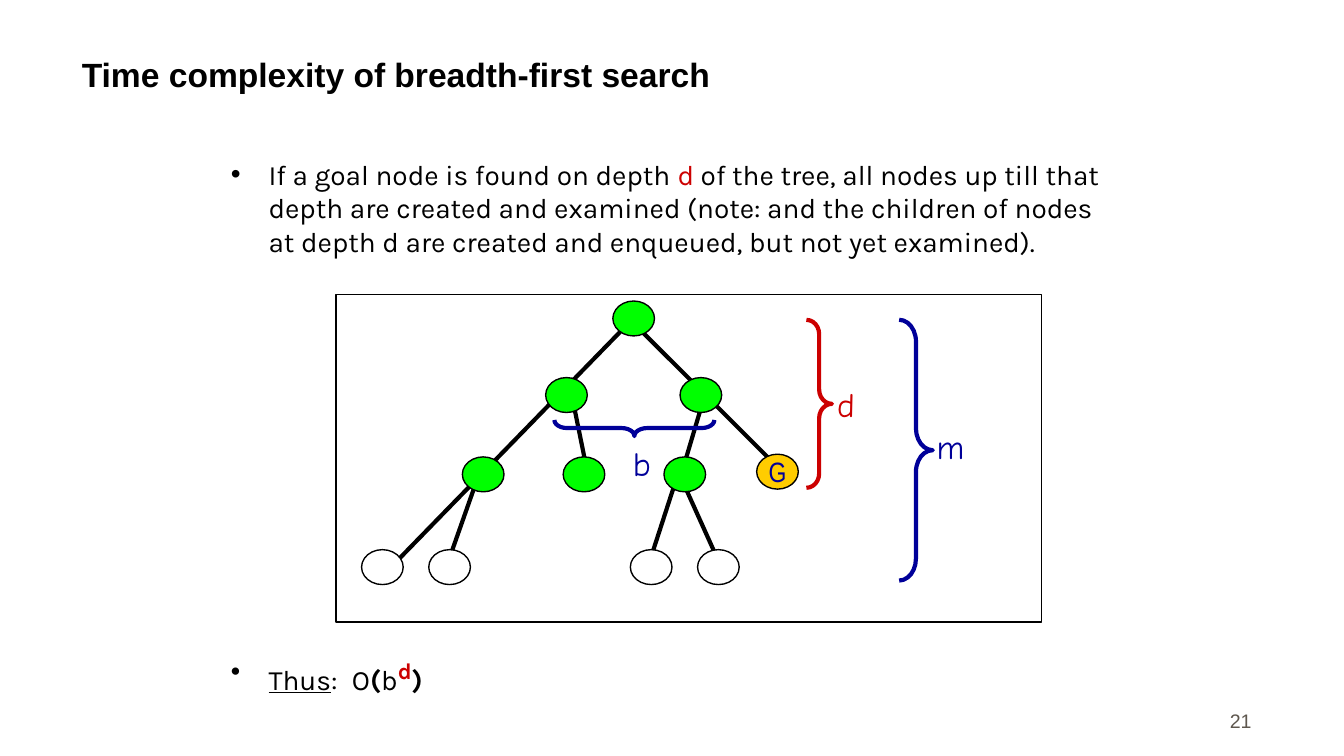
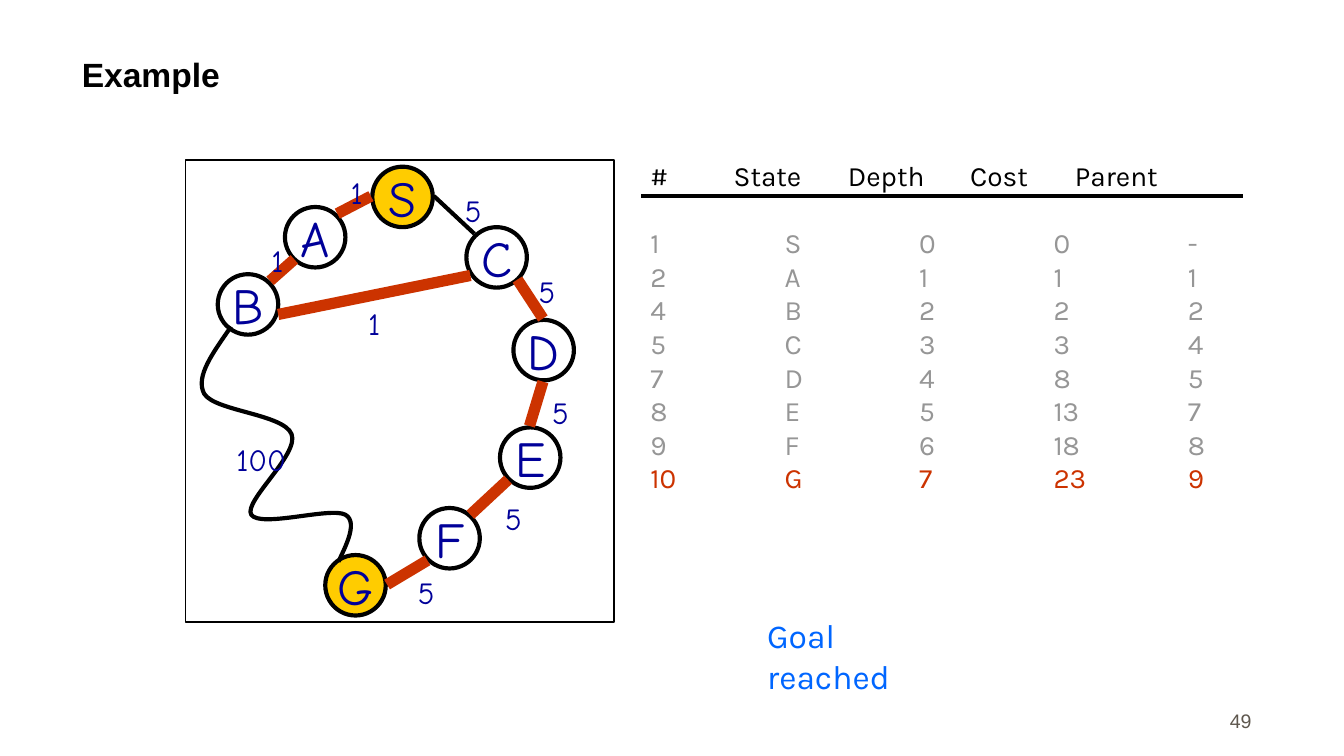
from pptx import Presentation
from pptx.dml.color import RGBColor
from pptx.enum.shapes import MSO_CONNECTOR, MSO_SHAPE
from pptx.enum.text import MSO_ANCHOR, PP_ALIGN
from pptx.oxml.ns import qn
from pptx.util import Inches, Pt
from lxml.etree import SubElement

BLACK = RGBColor(0x00, 0x00, 0x00)
WHITE = RGBColor(0xFF, 0xFF, 0xFF)
RED = RGBColor(0xCC, 0x00, 0x00)
NAVY = RGBColor(0x00, 0x00, 0x99)
GREEN = RGBColor(0x00, 0xFF, 0x00)
GOLD = RGBColor(0xFF, 0xCC, 0x00)
ORANGE = RGBColor(0xCC, 0x33, 0x00)
BLUE = RGBColor(0x00, 0x66, 0xFF)
GRAY = RGBColor(0x96, 0x96, 0x96)
FOOTER_BROWN = RGBColor(0x5E, 0x57, 0x4E)

TITLE_FONT = "Arial"
BODY_FONT = "Karla"
HAND_FONT = "Comic Neue"
NODE_FONT = "Arial Narrow"


def write_text(frame, *runs, size=15, color=BLACK, font=BODY_FONT, bold=False,
               align=PP_ALIGN.LEFT, anchor=MSO_ANCHOR.TOP, wrap=True,
               bullet=False, bullet_font=None, tabs=(), space_before=0):
    frame.word_wrap = wrap
    frame.vertical_anchor = anchor
    paragraph = frame.paragraphs[0]
    if paragraph.runs:
        paragraph = frame.add_paragraph()
    properties = paragraph._p.get_or_add_pPr()
    if bullet:
        properties.set("marL", str(Inches(0.28)))
        properties.set("indent", str(-Inches(0.28)))
        if bullet_font:
            SubElement(properties, qn("a:buFont")).set("typeface", bullet_font)
        SubElement(properties, qn("a:buChar")).set("char", "•")
    if tabs:
        tab_list = SubElement(properties, qn("a:tabLst"))
        for position in tabs:
            tab = SubElement(tab_list, qn("a:tab"))
            tab.set("pos", str(Inches(position)))
            tab.set("algn", "l")
    paragraph.alignment = align
    if space_before:
        paragraph.space_before = Pt(space_before)
    for item in runs:
        text, style = (item, {}) if isinstance(item, str) else item
        run = paragraph.add_run()
        run.text = text
        run.font.name = font
        run.font.size = Pt(style.get("size", size))
        run.font.bold = style.get("bold", bold)
        run.font.underline = style.get("underline", False)
        run.font.color.rgb = style.get("color", color)
        if "baseline" in style:
            run._r.get_or_add_rPr().set("baseline", str(style["baseline"]))


def add_text(slide, left, top, width, height, *runs, **text_format):
    box = slide.shapes.add_textbox(Inches(left), Inches(top), Inches(width), Inches(height))
    write_text(box.text_frame, *runs, **text_format)
    return box


def add_label(slide, left, top, text, **text_format):
    width = 0.22 + 0.13 * len(text)
    add_text(slide, left, top, width, 0.4, text, font=HAND_FONT, wrap=False, **text_format)


def add_shape(slide, preset, left, top, width, height, fill=None, line=BLACK, weight=0.75):
    shape = slide.shapes.add_shape(
        preset, Inches(left), Inches(top), Inches(width), Inches(height))
    shape.shadow.inherit = False
    if fill is None:
        shape.fill.background()
    else:
        shape.fill.solid()
        shape.fill.fore_color.rgb = fill
    shape.line.color.rgb = line
    shape.line.width = Pt(weight)
    return shape


def add_node(slide, left, top, width, height, fill, text="", size=15, font=HAND_FONT, weight=0.75):
    node = add_shape(slide, MSO_SHAPE.OVAL, left, top, width, height, fill, weight=weight)
    if text:
        frame = node.text_frame
        frame.margin_left = frame.margin_right = frame.margin_top = frame.margin_bottom = 0
        write_text(frame, text, size=size, color=NAVY, font=font,
                   align=PP_ALIGN.CENTER, anchor=MSO_ANCHOR.MIDDLE, wrap=False)


def add_brace(slide, preset, left, top, width, height, color, curl, rotation=0):
    brace = add_shape(slide, preset, left, top, width, height, line=color, weight=2.25)
    brace.adjustments[0] = curl
    brace.adjustments[1] = 0.5
    brace.rotation = rotation


def add_line(slide, x1, y1, x2, y2, color=BLACK, weight=2.25):
    line = slide.shapes.add_connector(
        MSO_CONNECTOR.STRAIGHT, Inches(x1), Inches(y1), Inches(x2), Inches(y2))
    line.line.color.rgb = color
    line.line.width = Pt(weight)
    SubElement(line._element.spPr, qn("a:effectLst"))


def add_curve(slide, left, top, points):
    places = [(Inches(left + x), Inches(top + y)) for x, y in points]
    builder = slide.shapes.build_freeform(*places[0])
    builder.add_line_segments(places[1:], close=False)
    curve = builder.convert_to_shape()
    curve.shadow.inherit = False
    curve.fill.background()
    curve.line.color.rgb = BLACK
    curve.line.width = Pt(2.25)
    outline = next(curve._element.iter(qn("a:path")))
    segments = outline.findall(qn("a:lnTo"))
    for index in range(0, len(segments), 3):
        bezier = SubElement(outline, qn("a:cubicBezTo"))
        for segment in segments[index:index + 3]:
            bezier.append(segment[0])
            outline.remove(segment)


def add_base_slide(presentation, title, number):
    slide = presentation.slides.add_slide(presentation.slide_layouts[6])
    add_text(slide, 7.33, 5.12, 2.08, 0.38, number, size=10.5, color=FOOTER_BROWN,
             font=TITLE_FONT, align=PP_ALIGN.RIGHT, anchor=MSO_ANCHOR.BOTTOM)
    add_text(slide, 0.51, 0.19, 8.92, 0.56, title, size=18, font=TITLE_FONT,
             bold=True, anchor=MSO_ANCHOR.BOTTOM)
    return slide


def draw_search_tree(slide, left, top, width, height):
    add_shape(slide, MSO_SHAPE.RECTANGLE, left, top, width, height, WHITE)
    branches = [
        (2.19, 0.19, 3.31, 1.31), (2.56, 1.35, 2.88, 2.06), (2.56, 1.29, 2.31, 2.06),
        (1.06, 1.35, 0.81, 2.06), (2.75, 0.73, 2.56, 1.37), (1.75, 0.73, 1.88, 1.37),
        (2.25, 0.14, 0.38, 2.06),
    ]
    for x1, y1, x2, y2 in branches:
        add_line(slide, left + x1, top + y1, left + x2, top + y2)

    levels = [
        (0.05, GREEN, [2.06]),
        (0.62, GREEN, [1.56, 2.56]),
        (1.21, GREEN, [0.94, 1.69, 2.44]),
        (1.9, WHITE, [0.19, 0.69, 2.19, 2.69]),
    ]
    for y, fill, columns in levels:
        for x in columns:
            add_node(slide, left + x, top + y, 0.31, 0.26, fill)
    add_node(slide, left + 3.13, top + 1.19, 0.31, 0.26, GOLD, "G", font=NODE_FONT)

    add_brace(slide, MSO_SHAPE.LEFT_BRACE, left + 2.16, top + 0.4, 0.12, 1.19, NAVY, 0.79, 270)
    add_brace(slide, MSO_SHAPE.RIGHT_BRACE, left + 3.5, top + 0.19, 0.19, 1.25, RED, 0.56)
    add_brace(slide, MSO_SHAPE.RIGHT_BRACE, left + 4.19, top + 0.19, 0.25, 1.94, NAVY, 0.65)
    for text, x, y, color in [("b", 2.11, 1.06, NAVY), ("d", 3.63, 0.62, RED), ("m", 4.37, 0.93, NAVY)]:
        add_label(slide, left + x, top + y, text, size=18, color=color)


def build_complexity_slide(presentation):
    slide = add_base_slide(presentation, "Time complexity of breadth-first search", "21")
    add_text(slide, 1.62, 1.12, 6.75, 0.88,
             "If a goal node is found on depth ", ("d", {"color": RED}),
             " of the tree, all nodes up till that depth are created and examined "
             "(note: and the children of nodes at depth d are created and enqueued, "
             "but not yet examined).", bullet=True, bullet_font=TITLE_FONT)
    draw_search_tree(slide, 2.5, 2.19, 5.25, 2.44)
    add_text(slide, 1.62, 4.8, 6.75, 0.51,
             ("Thus", {"underline": True}), ":\tO", ("(", {"bold": True}), "b",
             ("d", {"size": 21, "color": RED, "bold": True, "baseline": 30000}),
             (")", {"bold": True}), bullet=True, tabs=(0.9,))


def draw_route_graph(slide, left, top, width, height):
    add_shape(slide, MSO_SHAPE.RECTANGLE, left, top, width, height, WHITE)
    nodes = {
        "G": (1.04, 2.94), "D": (2.44, 1.19), "E": (2.34, 1.99), "F": (1.74, 2.59),
        "S": (1.39, 0.05), "A": (0.74, 0.35), "C": (2.09, 0.5), "B": (0.24, 0.85),
    }
    for name, (x, y) in nodes.items():
        fill = GOLD if name in "SG" else WHITE
        add_node(slide, left + x, top + y, 0.45, 0.45, fill, name, size=27, weight=2.25)

    add_curve(slide, left, top, [
        (0.34, 1.24),
        (0.21, 1.43), (0.07, 1.61), (0.14, 1.74),
        (0.22, 1.87), (0.73, 1.89), (0.79, 2.04),
        (0.85, 2.19), (0.43, 2.54), (0.49, 2.64),
        (0.56, 2.74), (1.08, 2.58), (1.19, 2.64),
        (1.3, 2.7), (1.16, 2.93), (1.14, 2.99),
    ])
    add_line(slide, left + 1.85, top + 0.27, left + 2.15, top + 0.55)
    path_edges = [
        (1.8, 2.98, 1.5, 3.16), (2.47, 0.89, 2.66, 1.18), (2.66, 1.65, 2.56, 1.98),
        (2.4, 2.38, 2.12, 2.64), (1.38, 0.27, 1.13, 0.4), (0.81, 0.74, 0.63, 0.9),
        (0.69, 1.15, 2.12, 0.86),
    ]
    for x1, y1, x2, y2 in path_edges:
        add_line(slide, left + x1, top + y1, left + x2, top + y2, ORANGE, 6)

    edge_costs = {
        "100": [(0.28, 2.04)],
        "5": [(1.63, 3.03), (2.53, 0.79), (2.63, 1.69), (2.28, 2.48), (1.98, 0.19)],
        "1": [(1.13, 0.05), (0.54, 0.56), (1.26, 1.03)],
    }
    for cost, places in edge_costs.items():
        for x, y in places:
            add_label(slide, left + x, top + y, cost, size=16.5, color=NAVY)


def draw_search_log(slide, left, top, width, height):
    header = ["#", "State", "Depth", "Cost", "Parent"]
    steps = [
        (1, "S", 0, 0, "-"), (2, "A", 1, 1, 1), (4, "B", 2, 2, 2), (5, "C", 3, 3, 4),
        (7, "D", 4, 8, 5), (8, "E", 5, 13, 7), (9, "F", 6, 18, 8), (10, "G", 7, 23, 9),
    ]
    log = add_text(slide, left, top, width, height, "\t".join(header),
                   tabs=(0.62, 1.47, 2.38, 3.16))
    for step in steps:
        write_text(log.text_frame, "\t".join(map(str, step)),
                   color=ORANGE if step is steps[-1] else GRAY,
                   tabs=(1, 2, 3, 4), space_before=18 if step is steps[0] else 0)
    add_line(slide, left + 0.03, top + 0.33, left + 4.51, top + 0.33)


def build_example_slide(presentation):
    slide = add_base_slide(presentation, "Example", "49")
    draw_route_graph(slide, 1.38, 1.19, 3.19, 3.44)
    draw_search_log(slide, 4.74, 1.13, 4.85, 2.88)
    add_text(slide, 5.61, 4.53, 1.5, 0.7, "Goal reached", size=18, color=BLUE)


def main():
    presentation = Presentation()
    presentation.slide_width = Inches(10)
    presentation.slide_height = presentation.slide_width * 9 // 16
    build_complexity_slide(presentation)
    build_example_slide(presentation)
    presentation.save("out.pptx")


if __name__ == "__main__":
    main()
